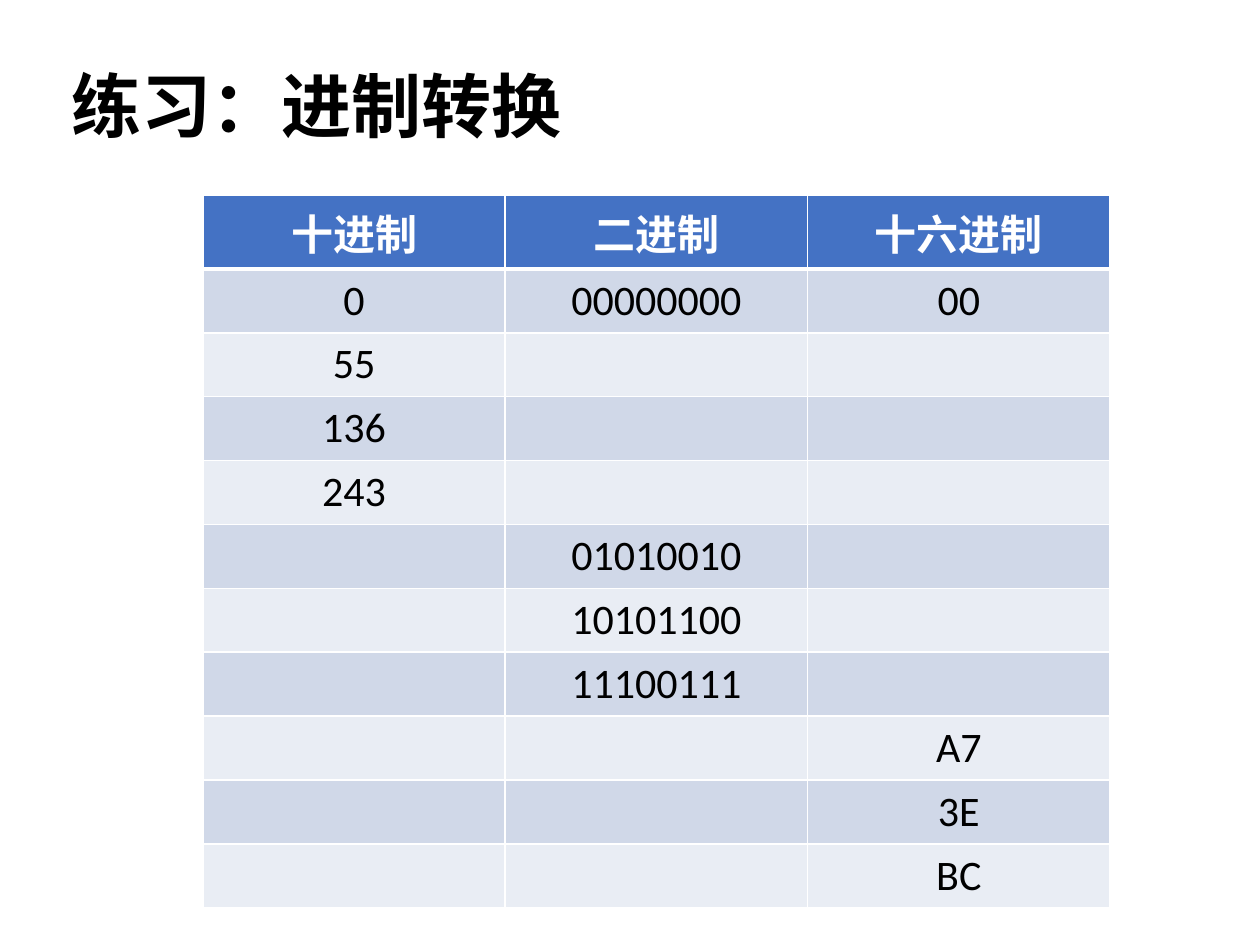
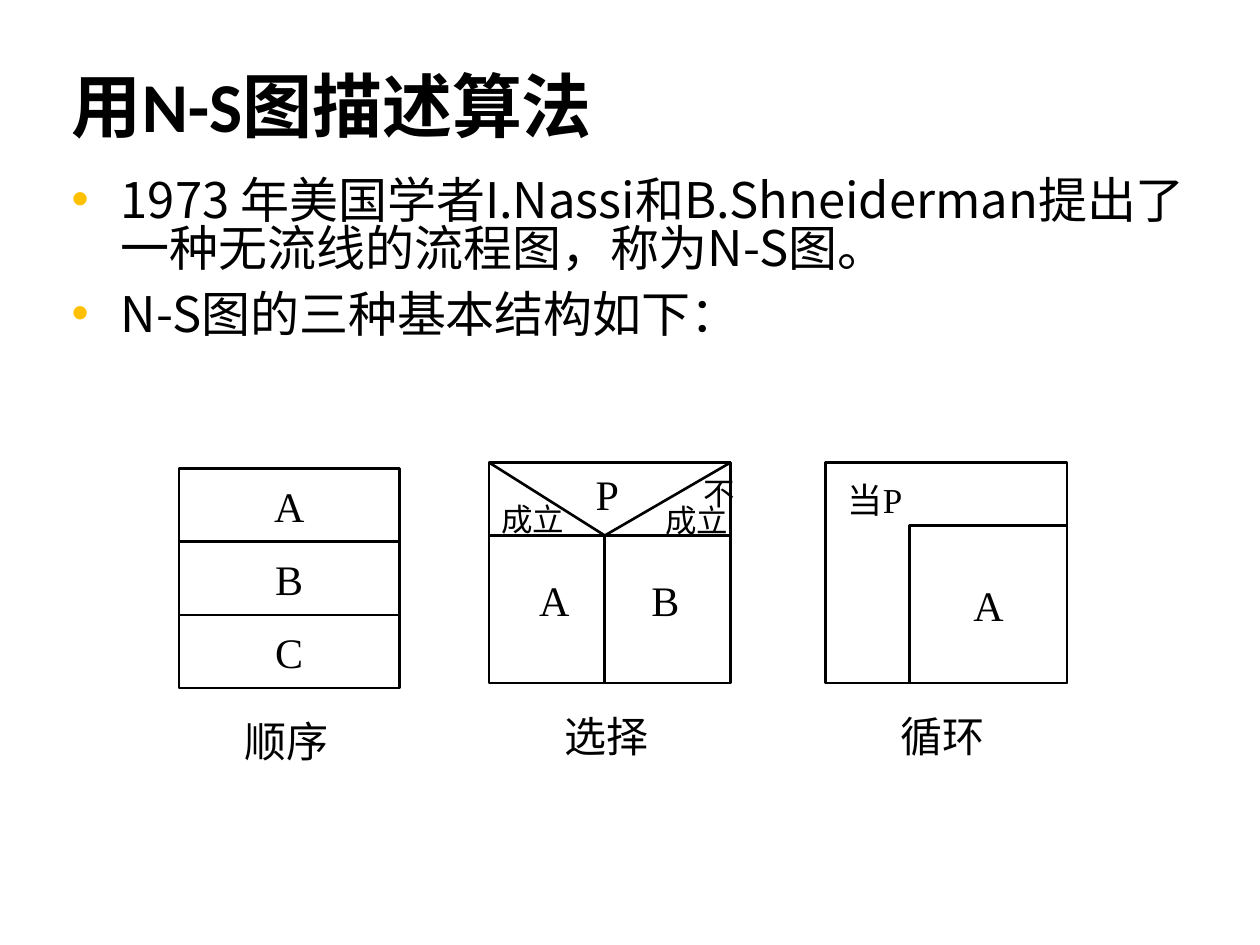
from lxml import etree
from pptx import Presentation
from pptx.dml.color import RGBColor
from pptx.enum.shapes import MSO_CONNECTOR, MSO_SHAPE
from pptx.enum.text import MSO_ANCHOR, MSO_AUTO_SIZE, PP_ALIGN
from pptx.oxml.ns import qn
from pptx.util import Inches, Pt

LEFT, CENTER, RIGHT = PP_ALIGN.LEFT, PP_ALIGN.CENTER, PP_ALIGN.RIGHT
TOP, MIDDLE, BOTTOM = MSO_ANCHOR.TOP, MSO_ANCHOR.MIDDLE, MSO_ANCHOR.BOTTOM
RECTANGLE, STRAIGHT = MSO_SHAPE.RECTANGLE, MSO_CONNECTOR.STRAIGHT
NO_AUTOFIT = MSO_AUTO_SIZE.NONE
TITLE_ONLY = 5

BLACK, WHITE, HEADER_BLUE, BULLET_GOLD = "000000", "FFFFFF", "4472C4", "FFC000"
BANDS = ("E9EDF4", "D0D8E8")
SANS, CJK, SERIF = "Calibri", "Noto Sans CJK SC", "Times New Roman"

NUMBER_ROWS = [
    ("十进制", "二进制", "十六进制"),
    ("0", "00000000", "00"),
    ("55", "", ""),
    ("136", "", ""),
    ("243", "", ""),
    ("", "01010010", ""),
    ("", "10101100", ""),
    ("", "11100111", ""),
    ("", "", "A7"),
    ("", "", "3E"),
    ("", "", "BC"),
]
NS_POINTS = [
    "1973 年美国学者I.Nassi和B.Shneiderman提出了一种无流线的流程图，称为N-S图。",
    "N-S图的三种基本结构如下：",
]


def color(value):
    """Turn a hex string into a colour."""
    return RGBColor.from_string(value)


def lengths(*values):
    """Turn numbers into inches."""
    return [Inches(value) for value in values]


def style(para, size, name, value=BLACK, bold=False, align=LEFT):
    """Set the font and alignment of a paragraph."""
    para.alignment = align
    font = para.font
    font.size, font.name, font.bold = Pt(size), name, bold
    font.color.rgb = color(value)
    east_asian = etree.SubElement(font._element, qn("a:ea"))
    east_asian.set("typeface", CJK)


def add_title(page, text):
    """Place and format the title placeholder."""
    title = page.shapes.title
    title.left, title.top, title.width, title.height = lengths(0.47, 0.47, 9.06, 0.75)
    frame = title.text_frame
    frame.text = text
    frame.auto_size, frame.vertical_anchor = NO_AUTOFIT, BOTTOM
    para = frame.paragraphs[0]
    para.line_spacing = 0.9
    style(para, 40, SANS, bold=True)


def add_label(shapes, text, box, size=24, align=LEFT, anchor=TOP):
    """Add a wrapped serif text box."""
    label = shapes.add_textbox(*lengths(*box))
    frame = label.text_frame
    frame.word_wrap, frame.vertical_anchor = True, anchor
    frame.text = text
    for para in frame.paragraphs:
        style(para, size, SERIF, align=align)
    return label


def add_block(shapes, box, text=""):
    """Add an outlined rectangle with an optional centred letter."""
    block = shapes.add_shape(RECTANGLE, *lengths(*box))
    block.shadow.inherit = False
    block.fill.background()
    block.line.color.rgb, block.line.width = color(BLACK), Pt(1.5)
    if text:
        frame = block.text_frame
        frame.text = text
        frame.word_wrap, frame.vertical_anchor = False, MIDDLE
        style(frame.paragraphs[0], 24, SERIF, align=CENTER)


def add_line(shapes, start, end):
    """Add a plain black line between two points."""
    line = shapes.add_connector(STRAIGHT, *lengths(*start, *end))
    line.line.color.rgb, line.line.width = color(BLACK), Pt(1.5)
    etree.SubElement(line._element.spPr, qn("a:effectLst"))


def set_border(cell, side, width):
    """Give one side of a cell a white border."""
    properties = cell._tc.get_or_add_tcPr()
    border = etree.SubElement(properties, qn(f"a:{side}"), w=str(Pt(width)))
    fill = etree.SubElement(border, qn("a:solidFill"))
    etree.SubElement(fill, qn("a:srgbClr"), val=WHITE)


def add_number_table(page, left, top):
    """Add the banded table of number conversions."""
    rows, columns = len(NUMBER_ROWS), len(NUMBER_ROWS[0])
    frame = page.shapes.add_table(rows, columns, *lengths(left, top, 7.2, 5.57))
    table = frame.table
    for column in table.columns:
        column.width = Inches(2.4)
    for index, values in enumerate(NUMBER_ROWS):
        header = index == 0
        table.rows[index].height = Inches(0.57 if header else 0.5)
        for cell, text in zip(table.rows[index].cells, values):
            cell.text = text
            style(cell.text_frame.paragraphs[0], 24, SANS,
                  WHITE if header else BLACK, header, CENTER)
            set_border(cell, "lnL", 1)
            set_border(cell, "lnR", 1)
            set_border(cell, "lnT", 3 if index == 1 else 1)
            set_border(cell, "lnB", 3 if header else 1)
            cell.fill.solid()
            cell.fill.fore_color.rgb = color(HEADER_BLUE if header else BANDS[index % 2])


def add_bullets(page, points, box):
    """Add a list with gold bullets."""
    frame = page.shapes.add_textbox(*lengths(*box)).text_frame
    frame.word_wrap = True
    frame.text = "\n".join(points)
    for index, para in enumerate(frame.paragraphs):
        para.line_spacing = 0.82
        para.space_before = Pt(10 if index else 0)
        properties = para._p.get_or_add_pPr()
        properties.set("marL", str(Inches(0.39)))
        properties.set("indent", str(-Inches(0.39)))
        bullet_color = etree.SubElement(properties, qn("a:buClr"))
        etree.SubElement(bullet_color, qn("a:srgbClr"), val=BULLET_GOLD)
        etree.SubElement(properties, qn("a:buFont"), typeface="Arial")
        etree.SubElement(properties, qn("a:buChar"), char="•")
        style(para, 28, CJK)


def add_sequence(page, left, top):
    """Draw the sequence structure."""
    shapes = page.shapes.add_group_shape().shapes
    height = 0.58
    for index, letter in enumerate("ABC"):
        add_block(shapes, (left, top + index * height, 1.75, height), letter)
    add_label(shapes, "顺序", (left + 0.42, top + 1.91, 0.92, 0.5))


def add_selection(page, left, top):
    """Draw the selection structure."""
    shapes = page.shapes.add_group_shape().shapes
    width, height = 1.92, 1.75
    right, fork = left + width, (left + 0.92, top + 0.58)
    add_block(shapes, (left, top, width, height))
    add_line(shapes, (left, fork[1]), (right, fork[1]))
    for end in ((fork[0], top + height), (right, top), (left, top)):
        add_line(shapes, fork, end)
    for index, letter in enumerate("AB"):
        add_label(shapes, letter, (left + 0.08 + index * 0.88, top + 0.84, 0.88, 0.5),
                  align=CENTER, anchor=MIDDLE)
    add_label(shapes, "P", (left + 0.75, top, 0.33, 0.5))
    add_label(shapes, "成立", (left, top + 0.25, 0.75, 0.4), 18)
    otherwise = add_label(shapes, "不\n成立", (left + 1.3, top + 0.1, 0.75, 0.55), 18)
    first, second = otherwise.text_frame.paragraphs
    first.alignment = RIGHT
    first.line_spacing, second.line_spacing = 0.8, 0.7
    add_label(shapes, "选择", (left + 0.5, top + 1.92, 1, 0.5))


def add_loop(page, left, top):
    """Draw the loop structure."""
    shapes = page.shapes.add_group_shape().shapes
    add_block(shapes, (left, top, 1.92, 1.75))
    add_block(shapes, (left + 0.67, top + 0.5, 1.25, 1.25), "A")
    add_label(shapes, "当P", (left + 0.08, top + 0.08, 0.67, 0.43), 20)
    add_label(shapes, "循环", (left + 0.5, top + 1.92, 0.92, 0.5))


def add_page(deck, title):
    """Add a slide with a formatted title."""
    page = deck.slides.add_slide(deck.slide_layouts[TITLE_ONLY])
    add_title(page, title)
    return page


def main():
    """Build and save the deck."""
    deck = Presentation()
    deck.slide_width, deck.slide_height = lengths(10, 7.5)

    page = add_page(deck, "练习：进制转换")
    add_number_table(page, 1.61, 1.55)

    page = add_page(deck, "用N-S图描述算法")
    add_bullets(page, NS_POINTS, (0.47, 1.38, 9.06, 1.7))
    add_sequence(page, 1.42, 3.72)
    add_selection(page, 3.88, 3.67)
    add_loop(page, 6.55, 3.67)

    deck.save("out.pptx")


if __name__ == "__main__":
    main()
